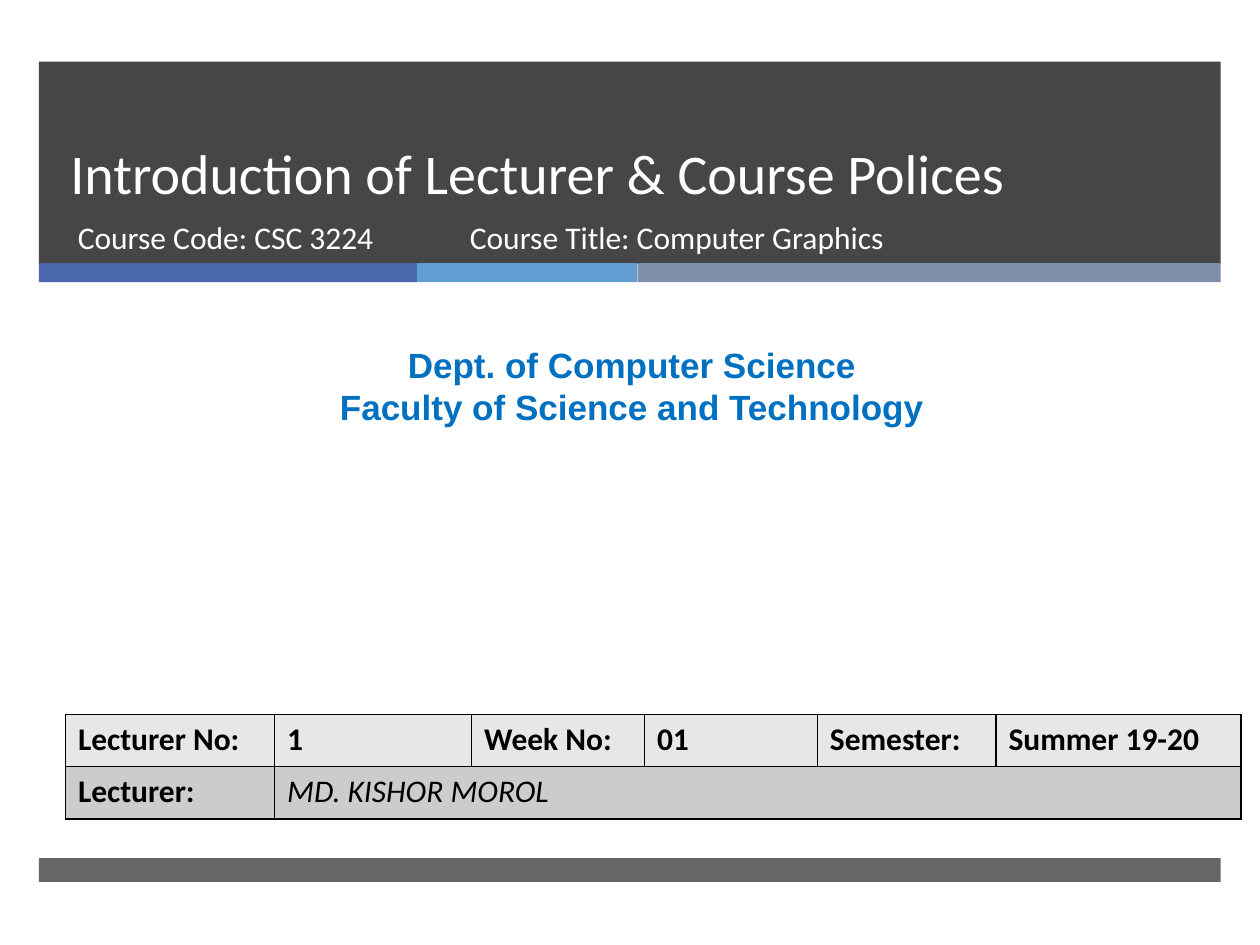
from dataclasses import dataclass
from lxml import etree
from pptx import Presentation
from pptx.dml.color import RGBColor
from pptx.enum import shapes, text
from pptx.oxml import ns
from pptx.util import Pt


@dataclass(frozen=True)
class Theme:
    dark: str = "262626"
    white: str = "FFFFFF"
    black: str = "000000"
    accent: str = "0070C0"
    stripes: tuple = ("4A66AC", "629DD1", "7F8FA9")
    rows: tuple = ("E7E7E7", "CCCCCC")
    body: str = "Calibri"
    heading: str = "Arial"
    title_size: int = 32
    dept_size: int = 20
    body_size: int = 18


THEME = Theme()

# Content
TITLE = "Introduction of Lecturer & Course Polices"
COURSE = [  # text, left, width
    ("Course Code: CSC 3224", 37.4, 219.6),
    ("Course Title: Computer Graphics", 261.4, 327.6),
]
DEPARTMENT = ["Dept. of Computer Science", "Faculty of Science and Technology"]
DETAILS = [
    ["Lecturer No:", "1", "Week No:", "01", "Semester:", "Summer 19-20"],
    ["Lecturer:", "MD. KISHOR MOROL"],
]

# Layout in points
BAND_LEFT, BAND_TOP, BAND_WIDTH, BAND_HEIGHT = 22.3, 35.2, 675.2, 115.6
STRIPE_TOP, STRIPE_HEIGHT = 150.4, 10.8
STRIPE_WIDTHS = [216, 126, 333.2]
FOOTER_TOP, FOOTER_HEIGHT = 490.3, 13.7
COLUMNS = [119.5, 112.6, 98.8, 98.8, 102.1, 140]
TABLE_LEFT, TABLE_TOP, ROW_HEIGHT = 37.4, 408.2, 29.9


def rgb(value):
    return RGBColor.from_string(value)


def add_bar(page, left, top, width, height, color, alpha=None):
    bar = page.shapes.add_shape(shapes.MSO_SHAPE.RECTANGLE,
                                Pt(left), Pt(top), Pt(width), Pt(height))
    bar.shadow.inherit = False
    bar.line.fill.background()
    bar.fill.solid()
    bar.fill.fore_color.rgb = rgb(color)
    if alpha:
        tone = bar.fill._xPr.find(".//" + ns.qn("a:srgbClr"))
        etree.SubElement(tone, ns.qn("a:alpha"), val=str(alpha * 1000))


def add_span(para, words, size, color, font=THEME.body, bold=False, italic=False):
    span = para.add_run()
    span.text = words
    span.font.name, span.font.size = font, Pt(size)
    span.font.bold, span.font.italic = bold, italic
    span.font.color.rgb = rgb(color)


def add_text(page, lines, left, top, width, height, size, color, font=THEME.body,
             bold=False, align=text.PP_ALIGN.LEFT, anchor=text.MSO_ANCHOR.TOP,
             spacing=None):
    box = page.shapes.add_textbox(Pt(left), Pt(top), Pt(width), Pt(height))
    frame = box.text_frame
    frame.word_wrap = True
    frame.vertical_anchor = anchor
    for index, words in enumerate(lines):
        para = frame.add_paragraph() if index else frame.paragraphs[0]
        para.alignment = align
        if spacing:
            para.line_spacing = Pt(spacing)
        add_span(para, words, size, color, font, bold)


def add_borders(cell, color, width):
    props = cell._tc.get_or_add_tcPr()
    for index, side in enumerate(("a:lnL", "a:lnR", "a:lnT", "a:lnB")):
        line = etree.Element(ns.qn(side), w=str(Pt(width)))
        fill = etree.SubElement(line, ns.qn("a:solidFill"))
        etree.SubElement(fill, ns.qn("a:srgbClr"), val=color)
        props.insert(index, line)


deck = Presentation()
deck.slide_width, deck.slide_height = Pt(720), Pt(540)
page = deck.slides.add_slide(deck.slide_layouts[6])

# Header band, stripes and footer
add_bar(page, BAND_LEFT, BAND_TOP, BAND_WIDTH, BAND_HEIGHT, THEME.dark, 85)
for index, (width, color) in enumerate(zip(STRIPE_WIDTHS, THEME.stripes)):
    left = BAND_LEFT + sum(STRIPE_WIDTHS[:index])
    add_bar(page, left, STRIPE_TOP, width, STRIPE_HEIGHT, color)
add_bar(page, BAND_LEFT, FOOTER_TOP, BAND_WIDTH, FOOTER_HEIGHT, THEME.dark, 70)

# Title, course and department
add_text(page, [TITLE], 33.1, 35.3, 614.9, 85.7, THEME.title_size, THEME.white,
         anchor=text.MSO_ANCHOR.BOTTOM, spacing=46)
for words, left, width in COURSE:
    add_text(page, [words], left, 121, width, 38.2, THEME.body_size, THEME.white)
add_text(page, DEPARTMENT, 5.8, 193, 710.6, 55.4, THEME.dept_size, THEME.accent,
         THEME.heading, bold=True, align=text.PP_ALIGN.CENTER)

# Lecture details table
table = page.shapes.add_table(len(DETAILS), len(COLUMNS), Pt(TABLE_LEFT), Pt(TABLE_TOP),
                              Pt(sum(COLUMNS)), Pt(ROW_HEIGHT * len(DETAILS))).table
for column, width in zip(table.columns, COLUMNS):
    column.width = Pt(width)
for row, (values, shade) in enumerate(zip(DETAILS, THEME.rows)):
    table.rows[row].height = Pt(ROW_HEIGHT)
    for index in range(len(COLUMNS)):
        cell = table.cell(row, index)
        cell.fill.solid()
        cell.fill.fore_color.rgb = rgb(shade)
        add_borders(cell, THEME.black, 1)
        if index < len(values):
            is_name = row == 1 and index == 1
            add_span(cell.text_frame.paragraphs[0], values[index], THEME.body_size,
                     THEME.black, bold=not is_name, italic=is_name)
table.cell(1, 1).merge(table.cell(1, len(COLUMNS) - 1))

deck.save("out.pptx")
